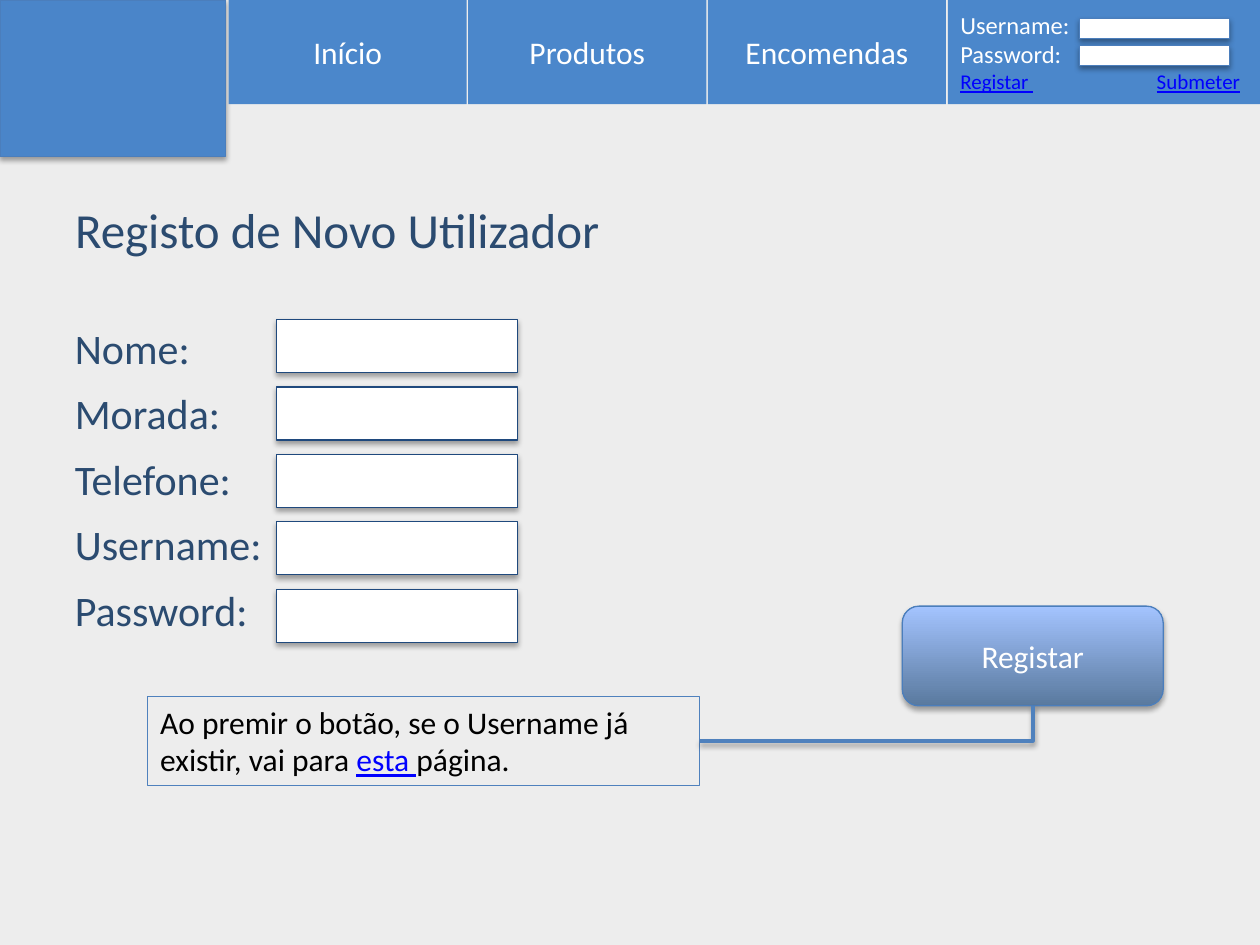
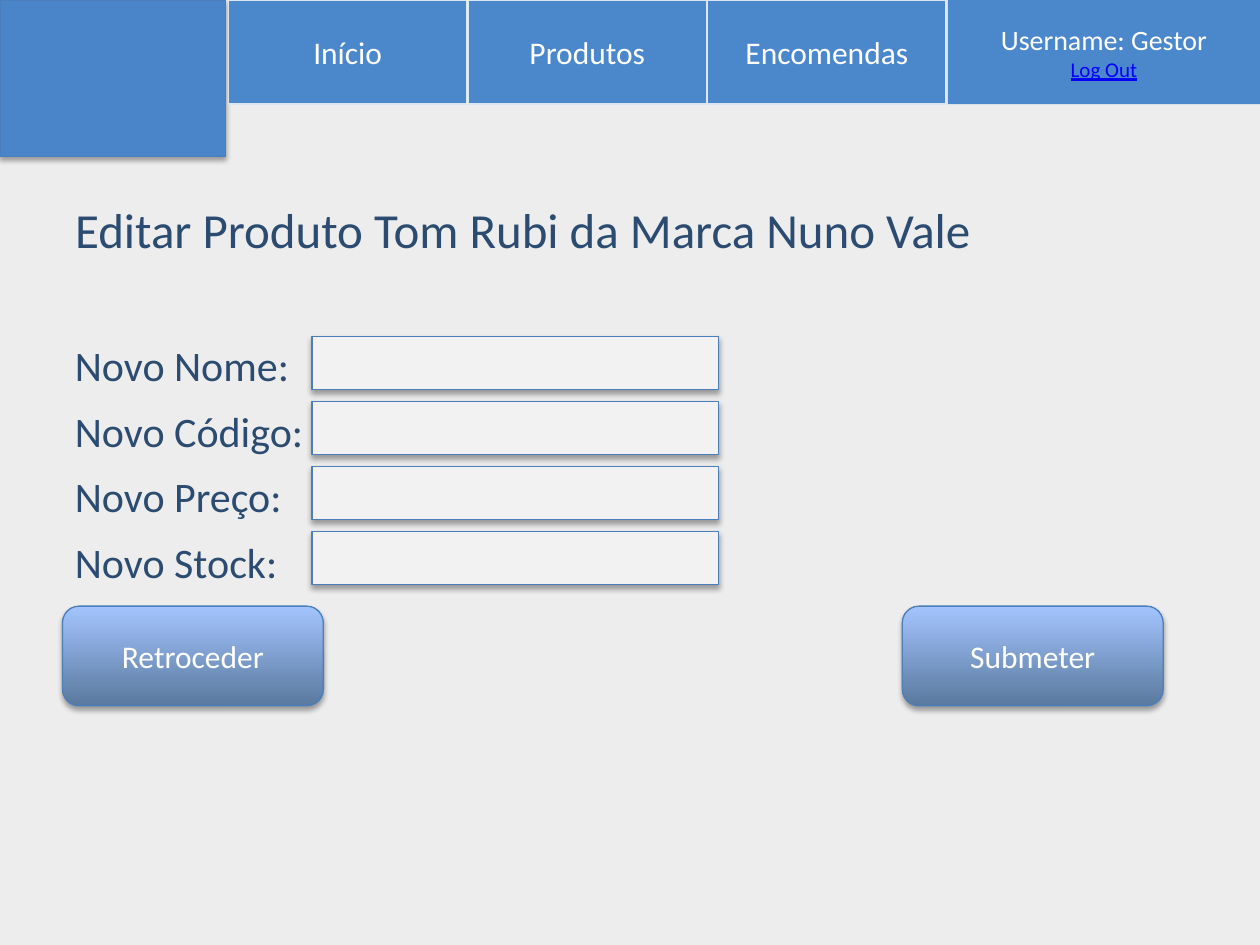
from lxml.etree import SubElement
from pptx import Presentation
from pptx.dml.color import RGBColor
from pptx.enum.shapes import MSO_CONNECTOR as Connector, MSO_SHAPE as Shape
from pptx.enum.text import MSO_ANCHOR as Anchor, MSO_AUTO_SIZE as AutoSize, PP_ALIGN as Align
from pptx.oxml.ns import qn
from pptx.util import Cm, Pt

# Shared look
FONT = "Calibri"
PAGE, WHITE, BLACK = "EDEDED", "FFFFFF", "000000"
BAR, LOGO, EDGE, TAB_EDGE = "4B87CB", "4A85C9", "4B7EBC", "DCE6F2"
INK, LINK, FIELD_EDGE, PALE, NOTE_EDGE = "2B4B70", "0000FF", "1F497D", "F2F2F2", "4F81BD"
BUTTON_STOPS = ["59799E", "A4C4FF"]

# Shared measures, in centimetres
MARGIN = 1.26
LOGO_BOX = (0, 0, 4.55, 3.15)
BAR_HEIGHT = 2.1
TABS_LEFT, TAB_STEP, TAB_WIDTH = 4.61, 4.83, 4.8
ACCOUNT_BOX = (19.11, 0, 6.29, BAR_HEIGHT)
TITLE_BOX = (MARGIN, 3.89, 20.2, 1.5)
LEFT_BUTTON, RIGHT_BUTTON = (MARGIN, 12.22, 5.26, 2.01), (18.19, 12.22, 5.26, 2.01)
FIELD_HEIGHT = 1.07
LABEL_RISE = 0.37


def colour(code):
    return RGBColor.from_string(code)


def lengths(box):
    return [Cm(value) for value in box]


def add_shadow(shape, alpha=35, distance=1.8):
    effects = SubElement(shape._element.spPr, qn("a:effectLst"))
    outer = SubElement(effects, qn("a:outerShdw"), blurRad=str(Pt(3.15)),
                       dist=str(Pt(distance)), dir="5400000", rotWithShape="0")
    tint = SubElement(outer, qn("a:srgbClr"), val=BLACK)
    SubElement(tint, qn("a:alpha"), val=str(alpha * 1000))


def write(frame, lines, size=18, color=WHITE, align=Align.LEFT,
          anchor=Anchor.MIDDLE, spacing=None, tab=None):
    """Each line is a string or a list of (text, is_link) spans."""
    frame.word_wrap = True
    frame.auto_size = AutoSize.NONE
    frame.vertical_anchor = anchor
    sizes = size if isinstance(size, list) else [size] * len(lines)
    for index, (line, points) in enumerate(zip(lines, sizes)):
        para = frame.add_paragraph() if index else frame.paragraphs[0]
        para.alignment = align
        if spacing:
            para.line_spacing = spacing
        if tab and index == len(lines) - 1:
            stops = SubElement(para._p.get_or_add_pPr(), qn("a:tabLst"))
            SubElement(stops, qn("a:tab"), pos=str(Cm(tab)), algn="r")
        for text, is_link in [(line, False)] if isinstance(line, str) else line:
            span = para.add_run()
            span.text = text
            span.font.name, span.font.size = FONT, Pt(points)
            span.font.color.rgb = colour(LINK if is_link else color)
            span.font.underline = is_link


def add_panel(page, box, fill=None, line=None, shadow=False, kind=Shape.RECTANGLE):
    panel = page.shapes.add_shape(kind, *lengths(box))
    panel.shadow.inherit = False
    if shadow:
        panel._element.spPr.remove(panel._element.spPr.find(qn("a:effectLst")))
    if fill:
        panel.fill.solid()
        panel.fill.fore_color.rgb = colour(fill)
    else:
        panel.fill.background()
    if line:
        panel.line.color.rgb = colour(line)
        panel.line.width = Pt(0.75)
    else:
        panel.line.fill.background()
    if shadow:
        add_shadow(panel)
    return panel


# Page regions
def add_header(page, tab_edge=None):
    add_panel(page, LOGO_BOX, LOGO, EDGE, shadow=True)
    for index, label in enumerate(["Início", "Produtos", "Encomendas"]):
        box = (TABS_LEFT + index * TAB_STEP, 0, TAB_WIDTH, BAR_HEIGHT)
        write(add_panel(page, box, BAR, tab_edge).text_frame, [label], align=Align.CENTER)


def add_login(page, box):
    left, top = box[:2]
    links = [("Registar ", True), ("\t", False), ("Submeter", True)]
    write(add_panel(page, box, BAR).text_frame, ["Username:", "Password:", links],
          size=[14, 14, 12], tab=5.64)
    for row in range(2):
        add_panel(page, (left + 2.65, top + 0.38 + row * 0.54, 3.02, 0.4),
                  WHITE, EDGE, shadow=True)


def add_session(page, box):
    write(add_panel(page, box, BAR).text_frame, ["Username: Gestor", [("Log Out", True)]],
          size=[16, 12], align=Align.CENTER)


def add_title(page, text):
    title = page.shapes.title
    title.left, title.top, title.width, title.height = lengths(TITLE_BOX)
    write(title.text_frame, [text], size=28, color=INK, anchor=Anchor.TOP)


def add_form(page, box, labels, field_left, step, fill, line):
    """Fields run from field_left to the right edge of the box, labels to their left."""
    left, top, width = box
    label_box = page.shapes.add_textbox(
        *lengths((left, top - LABEL_RISE, field_left + 0.5, len(labels) * step + 0.4)))
    write(label_box.text_frame, labels, size=24, color=INK, anchor=Anchor.TOP, spacing=1.3)
    for row in range(len(labels)):
        add_panel(page, (left + field_left, top + row * step, width - field_left, FIELD_HEIGHT),
                  fill, line, shadow=True)


def add_button(page, box, label):
    button = add_panel(page, box, BAR, EDGE, shadow=True, kind=Shape.ROUNDED_RECTANGLE)
    button.fill.gradient()
    button.fill.gradient_angle = 90
    for position, (stop, code) in enumerate(zip(button.fill.gradient_stops, BUTTON_STOPS)):
        stop.color.rgb = colour(code)
        stop.position = position
    write(button.text_frame, [label], align=Align.CENTER)
    return button


def add_note(page, box, spans, button):
    note = add_panel(page, box, line=NOTE_EDGE)
    write(note.text_frame, [spans], color=BLACK, anchor=Anchor.TOP)
    # One-bend connector from the note's right side to the button's bottom
    link = page.shapes.add_connector(
        Connector.ELBOW, note.left + note.width, note.top + note.height // 2,
        button.left + button.width // 2, button.top + button.height)
    link.begin_connect(note, 3)
    link.end_connect(button, 2)
    link._element.spPr.find(qn("a:prstGeom")).set("prst", "bentConnector2")
    link.line.color.rgb = colour(NOTE_EDGE)
    link.line.width = Pt(2)
    add_shadow(link, alpha=38, distance=1.6)


# Pages
def build_registration(page):
    add_title(page, "Registo de Novo Utilizador")
    add_header(page)
    add_login(page, ACCOUNT_BOX)
    add_form(page, (MARGIN, 6.44, 9.17), ["Nome:", "Morada:", "Telefone:", "Username:", "Password:"],
             field_left=4.32, step=1.36, fill=WHITE, line=FIELD_EDGE)
    button = add_button(page, RIGHT_BUTTON, "Registar")
    add_note(page, (2.98, 14.04, 11.13, 1.8),
             [("Ao premir o botão, se o Username já existir, vai para ", False),
              ("esta ", True), ("página.", False)], button)


def build_product_edit(page):
    add_title(page, "Editar Produto Tom Rubi da Marca Nuno Vale")
    add_header(page, TAB_EDGE)
    add_session(page, ACCOUNT_BOX)
    add_form(page, (MARGIN, 6.79, 13.23),
             ["Novo Nome:", "Novo Código:", "Novo Preço:", "Novo Stock:"],
             field_left=5.03, step=1.31, fill=PALE, line=EDGE)
    add_button(page, RIGHT_BUTTON, "Submeter")
    add_button(page, LEFT_BUTTON, "Retroceder")


def main():
    deck = Presentation()
    deck.slide_width, deck.slide_height = Cm(25.4), Cm(19.05)
    backdrop = deck.slide_master.background.fill
    backdrop.solid()
    backdrop.fore_color.rgb = colour(PAGE)
    for build in (build_registration, build_product_edit):
        build(deck.slides.add_slide(deck.slide_layouts[5]))
    deck.save("out.pptx")


if __name__ == "__main__":
    main()
